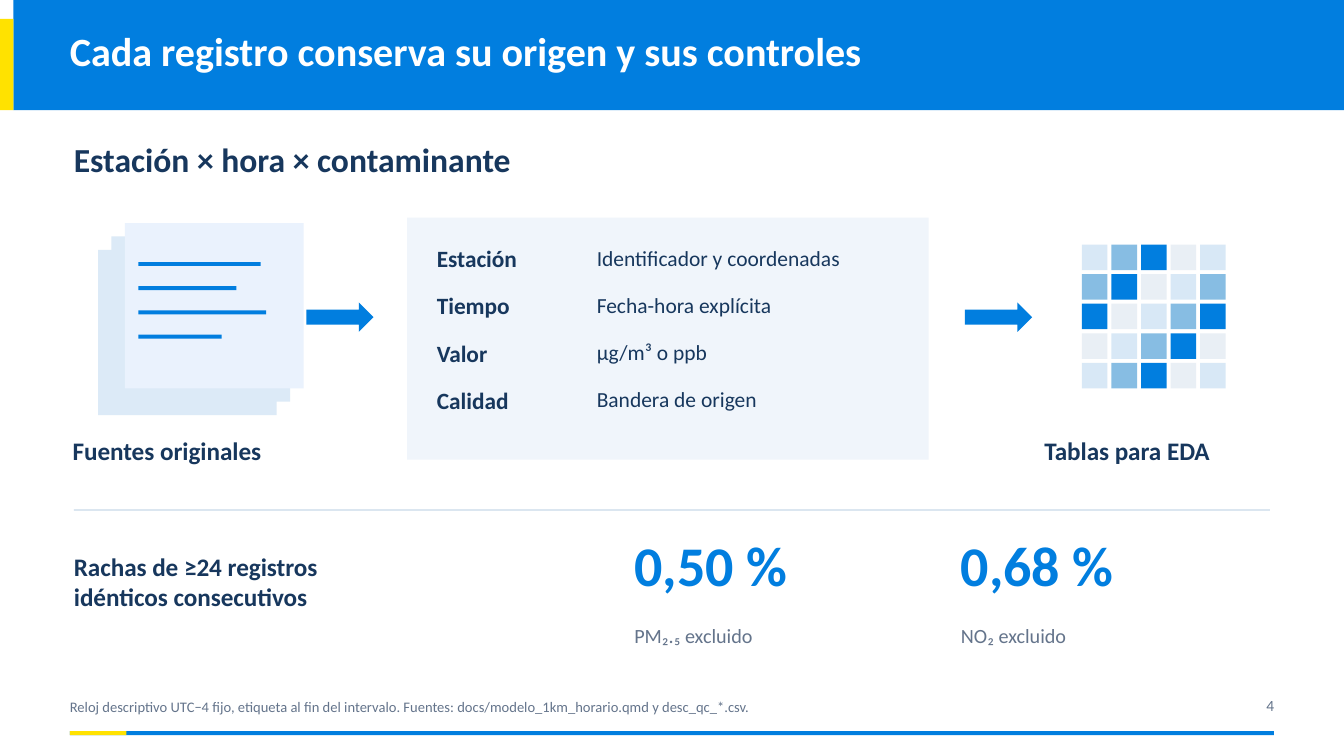
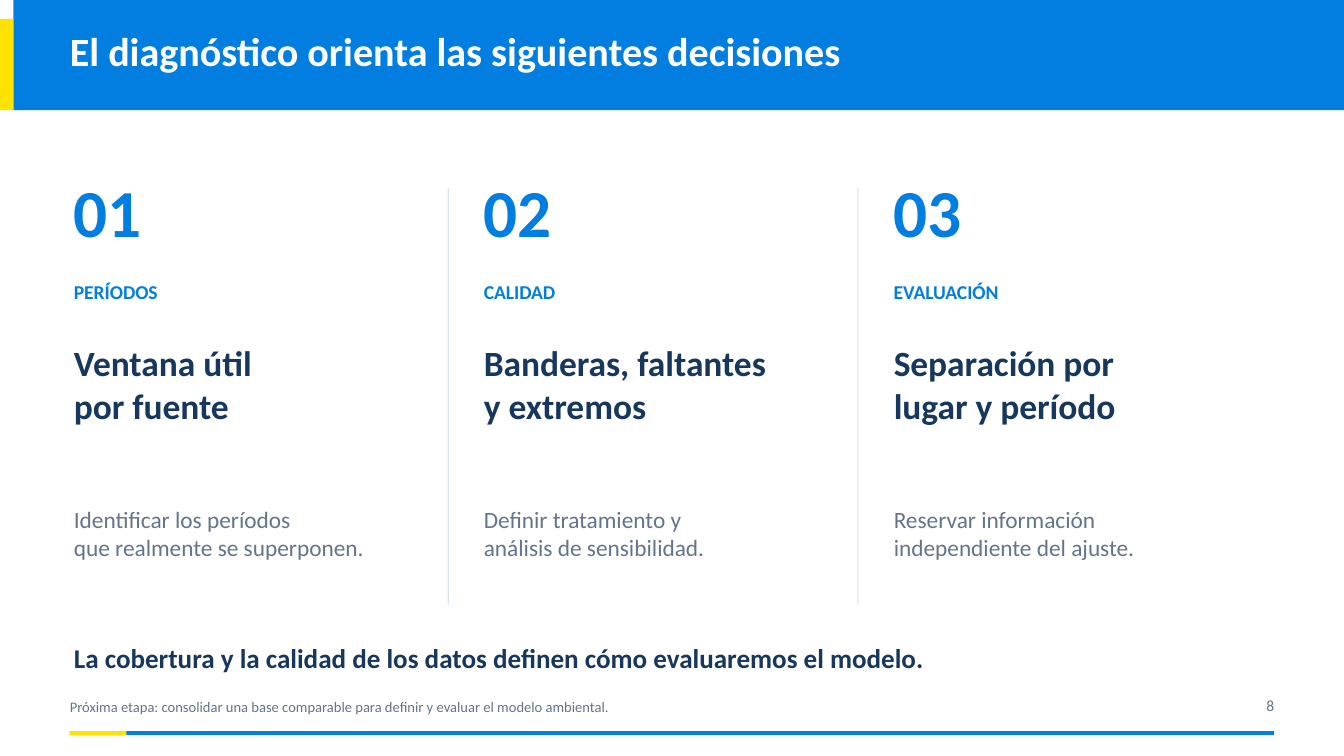
from pptx import Presentation
from pptx.dml.color import RGBColor
from pptx.enum.shapes import MSO_SHAPE as Kind
from pptx.enum.text import PP_ALIGN as Align
from pptx.util import Inches, Pt

BLUE, GOLD, NAVY, GRAY = "017EDF", "FFE200", "17375D", "64748B"
WHITE, RULE, SPLIT = "FFFFFF", "C9D9E9", "DCE5EF"
BACK, FRONT, PANEL = "DCEAF7", "EAF2FD", "F0F5FB"
TONES = ["D8E8F6", "87BDE3", BLUE, "E9EFF5"]
FONT = "Calibri"
PAGE = 10
EDGE, LEFT, WIDE = 0.52, 0.55, 8.9


def tint(code):
    return RGBColor.from_string(code)


def block(slide, x, y, w, h, fill, kind=Kind.RECTANGLE):
    shape = slide.shapes.add_shape(kind, Inches(x), Inches(y), Inches(w), Inches(h))
    shape.shadow.inherit = False
    shape.fill.solid()
    shape.fill.fore_color.rgb = tint(fill)
    shape.line.fill.background()


def write(slide, text, x, y, w, h, size=13.5, color=NAVY, bold=False, align=Align.LEFT):
    frame = slide.shapes.add_textbox(Inches(x), Inches(y), Inches(w), Inches(h)).text_frame
    frame.word_wrap = True
    frame.margin_left = frame.margin_right = frame.margin_top = frame.margin_bottom = 0
    frame.text = text
    for para in frame.paragraphs:
        para.alignment = align
        font = para.font
        font.name, font.size, font.bold = FONT, Pt(size), bold
        font.color.rgb = tint(color)


def start(deck, title, note, page):
    slide = deck.slides.add_slide(deck.slide_layouts[6])
    slide.background.fill.solid()
    slide.background.fill.fore_color.rgb = tint(WHITE)
    block(slide, 0.1, 0, 9.9, 0.82, BLUE)
    block(slide, 0, 0.14, 0.1, 0.68, GOLD)
    write(slide, title, EDGE, 0.2, 9, 0.48, size=21.5, color=WHITE, bold=True)
    write(slide, note, EDGE, 5.19, 8.66, 0.16, size=7.8, color=GRAY)
    write(slide, page, 9.23, 5.18, 0.25, 0.18, size=8.3, color=GRAY, align=Align.RIGHT)
    block(slide, EDGE, 5.44, 8.96, 0.03, BLUE)
    block(slide, EDGE, 5.44, 0.42, 0.03, GOLD)
    return slide


def draw_stack(slide, x, y, w, h):
    step = 0.1
    for i, fill in enumerate([BACK, BACK, FRONT]):
        block(slide, x + i * step, y + (2 - i) * step, w - 2 * step, h - 2 * step, fill)
    for i, size in enumerate([0.91, 0.73, 0.95, 0.62]):
        block(slide, x + 0.3, y + 0.29 + i * 0.18, size, 0.03, BLUE)


def draw_fields(slide, x, y, w, h):
    block(slide, x, y, w, h, PANEL)
    rows = [
        ("Estación", "Identificador y coordenadas"),
        ("Tiempo", "Fecha-hora explícita"),
        ("Valor", "µg/m³ o ppb"),
        ("Calidad", "Bandera de origen"),
    ]
    for i, (name, value) in enumerate(rows):
        top = y + 0.2 + i * 0.35
        write(slide, name, x + 0.22, top, 1.05, 0.25, size=12.5, bold=True)
        write(slide, value, x + 1.41, top, w - 1.6, 0.25, size=11.5)


def draw_grid(slide, x, y, side, count=5, gap=0.03):
    cell = (side - gap * (count - 1)) / count
    step = cell + gap
    for row in range(count):
        for col in range(count):
            tone = TONES[(row + col) % len(TONES)]
            block(slide, x + col * step, y + row * step, cell, cell, tone)


def draw_rate(slide, x, y, rate, label):
    write(slide, rate, x, y, 1.7, 0.58, size=30, color=BLUE, bold=True)
    write(slide, label, x, y + 0.69, 1.85, 0.23, size=10.8, color=GRAY)


def draw_step(slide, x, y, mark, label, head, body):
    write(slide, mark, x, y, 2.6, 0.65, size=36, color=BLUE, bold=True)
    write(slide, label, x, y + 0.81, 2.7, 0.24, size=10.5, color=BLUE, bold=True)
    write(slide, head, x, y + 1.27, 2.65, 0.88, size=19, bold=True)
    write(slide, body, x, y + 2.49, 2.65, 0.67, size=12.5, color=GRAY)


def add_flow(deck):
    slide = start(
        deck,
        "Cada registro conserva su origen y sus controles",
        "Reloj descriptivo UTC−4 fijo, etiqueta al fin del intervalo. "
        "Fuentes: docs/modelo_1km_horario.qmd y desc_qc_*.csv.",
        "4",
    )
    write(slide, "Estación × hora × contaminante", LEFT, 1.03, WIDE, 0.35, size=18, bold=True)
    draw_stack(slide, 0.73, 1.66, 1.53, 1.43)
    write(slide, "Fuentes originales", 0.54, 3.24, 2, 0.3, bold=True)
    block(slide, 2.28, 2.25, 0.5, 0.22, BLUE, Kind.RIGHT_ARROW)
    draw_fields(slide, 3.03, 1.62, 3.88, 1.8)
    block(slide, 7.18, 2.25, 0.5, 0.22, BLUE, Kind.RIGHT_ARROW)
    draw_grid(slide, 8.05, 1.82, 1.07)
    write(slide, "Tablas para EDA", 7.77, 3.24, 1.72, 0.3, bold=True)
    block(slide, LEFT, 3.79, WIDE, 0.01, RULE)
    write(slide, "Rachas de ≥24 registros\nidénticos consecutivos", LEFT, 4.1, 3.6, 0.67, bold=True)
    draw_rate(slide, 4.72, 3.95, "0,50 %", "PM₂.₅ excluido")
    draw_rate(slide, 7.15, 3.95, "0,68 %", "NO₂ excluido")


def add_steps(deck):
    slide = start(
        deck,
        "El diagnóstico orienta las siguientes decisiones",
        "Próxima etapa: consolidar una base comparable para definir y evaluar el modelo ambiental.",
        "8",
    )
    steps = [
        ("01", "PERÍODOS", "Ventana útil\npor fuente",
         "Identificar los períodos\nque realmente se superponen."),
        ("02", "CALIDAD", "Banderas, faltantes\ny extremos",
         "Definir tratamiento y\nanálisis de sensibilidad."),
        ("03", "EVALUACIÓN", "Separación por\nlugar y período",
         "Reservar información\nindependiente del ajuste."),
    ]
    for i, step in enumerate(steps):
        x = LEFT + i * 3.05
        if i:
            block(slide, x - 0.27, 1.4, 0.01, 3.1, SPLIT)
        draw_step(slide, x, 1.27, *step)
    write(slide, "La cobertura y la calidad de los datos definen cómo evaluaremos el modelo.",
          LEFT, 4.77, WIDE, 0.31, size=14.5, bold=True)


def main():
    deck = Presentation()
    deck.slide_width, deck.slide_height = Inches(PAGE), Inches(PAGE * 9 / 16)
    add_flow(deck)
    add_steps(deck)
    deck.save("out.pptx")


if __name__ == "__main__":
    main()
